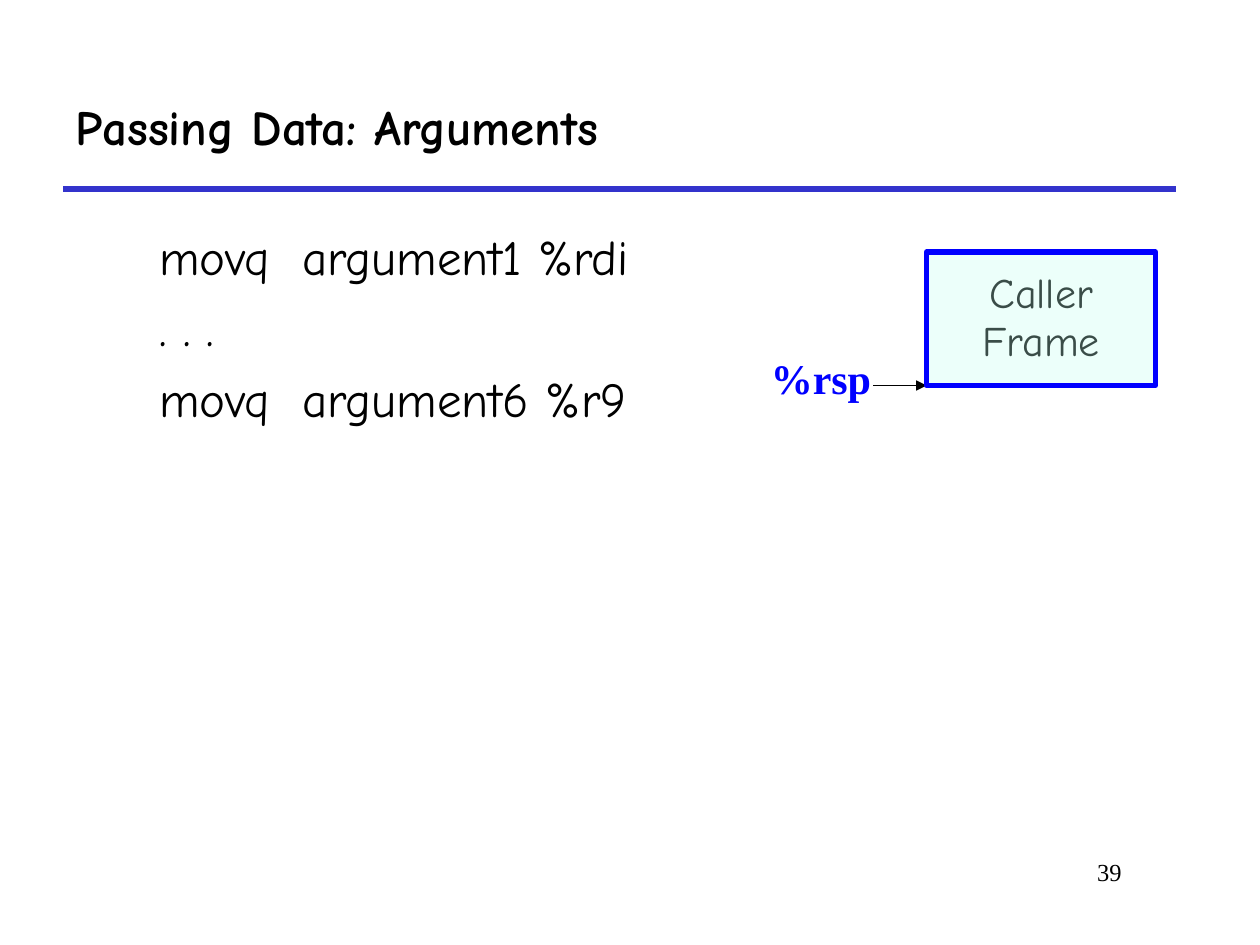
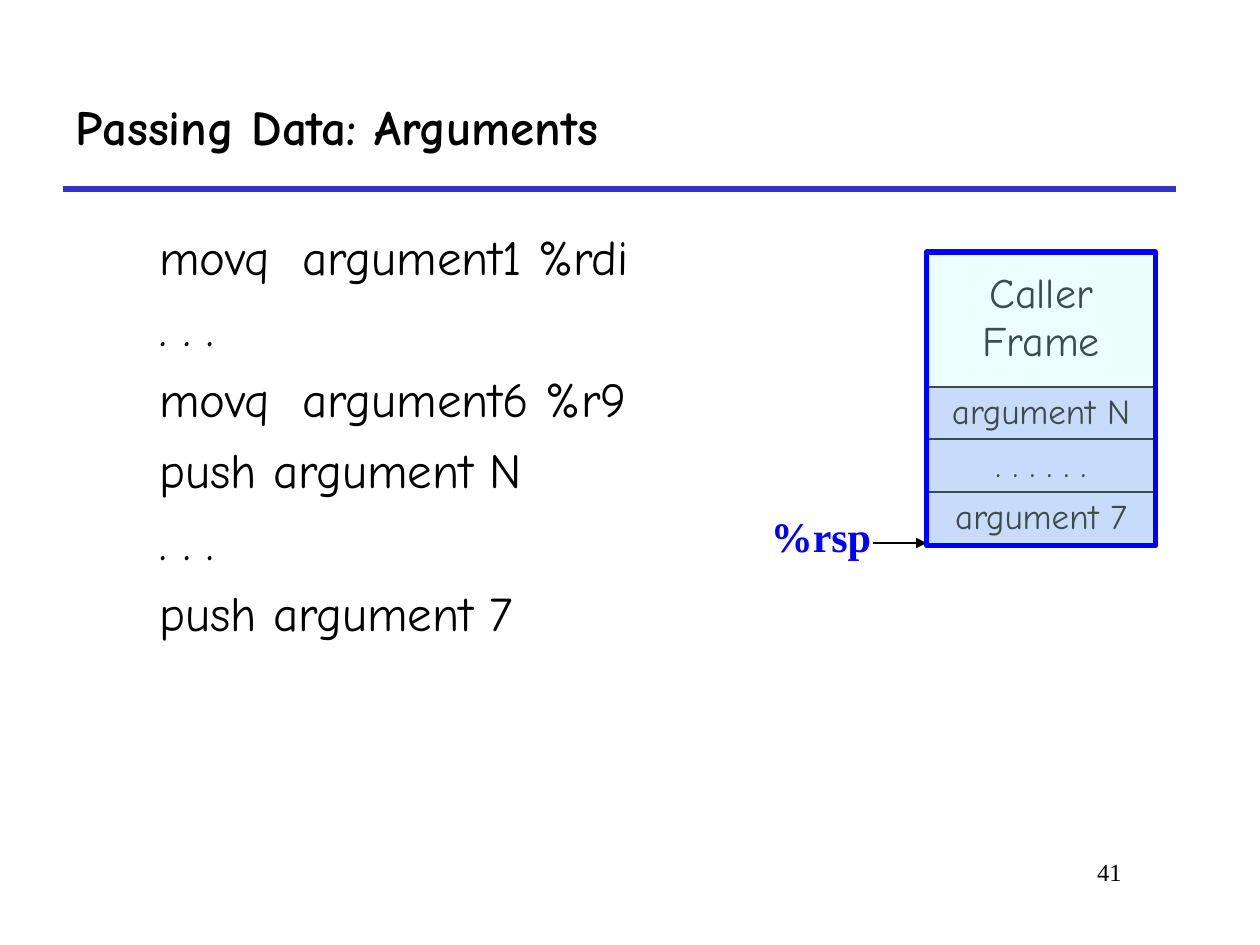
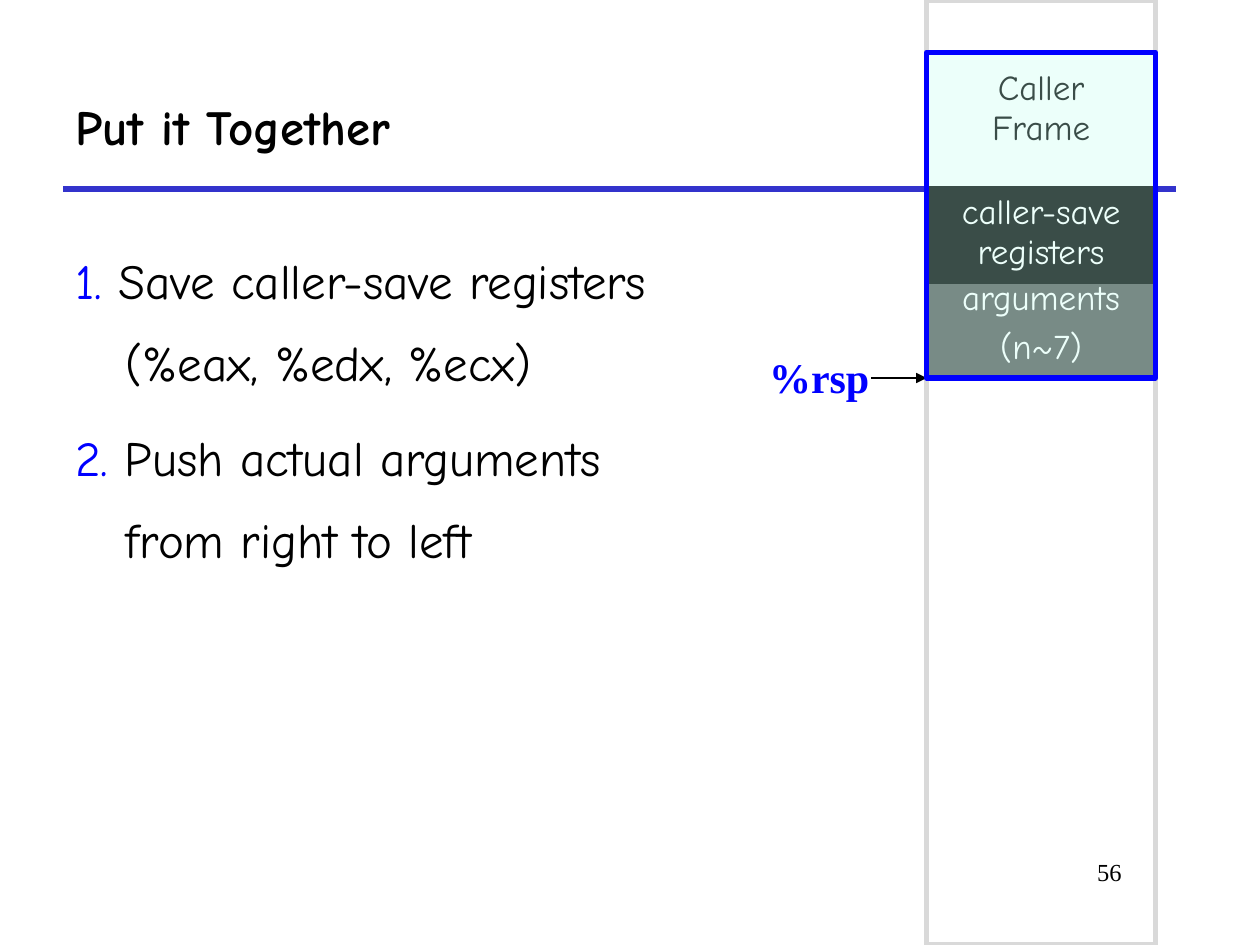
from dataclasses import dataclass
from lxml.etree import SubElement
from pptx import Presentation
from pptx.dml.color import RGBColor
from pptx.enum.shapes import MSO_CONNECTOR, MSO_SHAPE
from pptx.enum.text import MSO_ANCHOR, PP_ALIGN
from pptx.oxml.ns import qn
from pptx.util import Pt


@dataclass(frozen=True)
class Theme:
    text_font: str = "Comic Neue"
    label_font: str = "Times New Roman"
    black: str = "000000"
    white: str = "FFFFFF"
    rule: str = "3333CC"
    blue: str = "0000FF"
    mint: str = "C2FFF0"
    lavender: str = "CCCCFF"
    dark_gray: str = "595959"
    light_gray: str = "D9D9D9"
    heading_size: float = 28
    label_size: float = 24
    slot_size: float = 20
    number_size: float = 14


theme = Theme()
stack_left, stack_width = 529.5, 130.8


def write(frame, text, *, size, font=theme.text_font, color=theme.black, bold=False,
          align=PP_ALIGN.LEFT, anchor=MSO_ANCHOR.TOP, wrap=True, space=0,
          line_spacing=None, hanging=0, marker_color=None):
    frame.word_wrap = wrap
    frame.vertical_anchor = anchor
    for index, content in enumerate(text.split("\n")):
        paragraph = frame.add_paragraph() if index else frame.paragraphs[0]
        paragraph.alignment = align
        if index:
            paragraph.space_before = Pt(space)
        if line_spacing:
            paragraph.line_spacing = line_spacing
        if hanging:
            properties = paragraph._p.get_or_add_pPr()
            properties.set("marL", str(Pt(hanging)))
            properties.set("indent", str(-Pt(hanging)))
        pieces = []
        if marker_color:
            marker, gap, content = content.partition(" ")
            pieces.append((marker + gap, marker_color))
        for number, line in enumerate(content.split("\v")):
            if number:
                pieces.append((None, color))
            pieces.append((line, color))
        for words, tint in pieces:
            if words is None:
                paragraph.add_line_break()
                continue
            run = paragraph.add_run()
            run.text = words
            run.font.name = font
            run.font.size = Pt(size)
            run.font.bold = bold
            run.font.color.rgb = RGBColor.from_string(tint)


def add_line(shapes, start, end, color, width):
    line = shapes.add_connector(MSO_CONNECTOR.STRAIGHT, *map(Pt, start + end))
    line.line.color.rgb = RGBColor.from_string(color)
    line.line.width = Pt(width)
    SubElement(line._element.spPr, qn("a:effectLst"))
    return line


code = "movq  argument1 %rdi\n. . .\nmovq  argument6 %r9"
code_style = dict(space=7)
steps = ("1. Save caller-save registers\v(%eax, %edx, %ecx)\n"
         "2. Push actual arguments\vfrom right to left")
steps_style = dict(space=7, line_spacing=1.4, hanging=28.8, marker_color=theme.blue)
arguments = [(name, 221 + 30 * index, 31, theme.lavender, theme.black)
             for index, name in enumerate(["argument N", ". . . . . .", "argument 7"])]
saved = [("arguments\n(n~7)", 156, 60, theme.dark_gray, theme.white),
         ("caller-save registers", 106.6, 55.4, theme.black, theme.white)]

pages = [
    dict(number="39", title="Passing Data: Arguments", body=code, body_left=84,
         body_style=code_style, slots=[], top=144, height=76.3, caller_size=theme.label_size,
         caller_margin=10.5, label=(433.4, 198), arrow_y=220.3, column=False),
    dict(number="41", title="Passing Data: Arguments",
         body=code + "\npush argument N\n. . .\npush argument 7", body_left=84,
         body_style=code_style, slots=arguments, top=144, height=167.8,
         caller_size=theme.label_size, caller_margin=10.5, label=(433.4, 288),
         arrow_y=310.3, column=False),
    dict(number="56", title="Put it Together", body=steps, body_left=36,
         body_style=steps_style, slots=saved, top=30, height=186,
         caller_size=theme.slot_size, caller_margin=9.5, label=(432.4, 197.6),
         arrow_y=216, column=True),
]

presentation = Presentation()
presentation.slide_width, presentation.slide_height = Pt(720), Pt(540)

for page in pages:
    slide = presentation.slides.add_slide(presentation.slide_layouts[6])
    shapes = slide.shapes
    add_line(shapes, (36, 108), (672, 108), theme.rule, 3)

    if page["column"]:
        column = shapes.add_shape(MSO_SHAPE.RECTANGLE, Pt(stack_left), 0,
                                  Pt(stack_width), Pt(540))
        column.shadow.inherit = False
        column.fill.background()
        column.line.color.rgb = RGBColor.from_string(theme.light_gray)
        column.line.width = Pt(3)

    caller = ("Caller\vFrame", page["top"], page["height"], None, theme.black)
    for name, top, height, fill, color in page["slots"] + [caller]:
        table = shapes.add_table(1, 1, Pt(stack_left), Pt(top),
                                 Pt(stack_width), Pt(height)).table
        table.first_row = table.horz_banding = False
        cell = table.cell(0, 0)
        cell.margin_top = Pt(3.6 if fill else page["caller_margin"])
        write(cell.text_frame, name, color=color, align=PP_ALIGN.CENTER, space=5,
              size=theme.slot_size if fill else page["caller_size"])
        properties = cell._tc.get_or_add_tcPr()
        for side in ("lnL", "lnR", "lnT", "lnB"):
            border = SubElement(properties, qn("a:" + side), w=str(Pt(1.08)))
            SubElement(SubElement(border, qn("a:solidFill")), qn("a:srgbClr"), val=theme.black)
        if fill:
            cell.fill.solid()
            cell.fill.fore_color.rgb = RGBColor.from_string(fill)
        else:
            cell.fill.background()

    number = shapes.add_textbox(Pt(546), Pt(486), Pt(102), Pt(36))
    write(number.text_frame, page["number"], size=theme.number_size,
          font=theme.label_font, align=PP_ALIGN.RIGHT)
    title = shapes.add_textbox(Pt(36), Pt(36), Pt(636), Pt(72))
    write(title.text_frame, page["title"], size=theme.heading_size, bold=True,
          anchor=MSO_ANCHOR.MIDDLE)
    body_left = page["body_left"]
    body = shapes.add_textbox(Pt(body_left), Pt(126), Pt(696 - body_left), Pt(348))
    write(body.text_frame, page["body"], size=theme.heading_size, **page["body_style"])

    label_left, label_top = page["label"]
    label = shapes.add_textbox(Pt(label_left), Pt(label_top), Pt(72), Pt(36))
    write(label.text_frame, "%rsp", size=theme.label_size, font=theme.label_font,
          color=theme.blue, bold=True, wrap=False)
    arrow = add_line(shapes, (label_left + 65.6, page["arrow_y"]),
                     (stack_left, page["arrow_y"]), theme.black, 0.75)
    SubElement(arrow.line._get_or_add_ln(), qn("a:tailEnd"), type="triangle")

    frame = shapes.add_shape(MSO_SHAPE.RECTANGLE, Pt(stack_left), Pt(page["top"]),
                             Pt(stack_width), Pt(page["height"]))
    frame.shadow.inherit = False
    frame.fill.solid()
    frame.fill.fore_color.rgb = RGBColor.from_string(theme.mint)
    tint = frame._element.spPr.find(qn("a:solidFill")).find(qn("a:srgbClr"))
    SubElement(tint, qn("a:alpha"), val="30000")
    frame.line.color.rgb = RGBColor.from_string(theme.blue)
    frame.line.width = Pt(3)

presentation.save("out.pptx")
